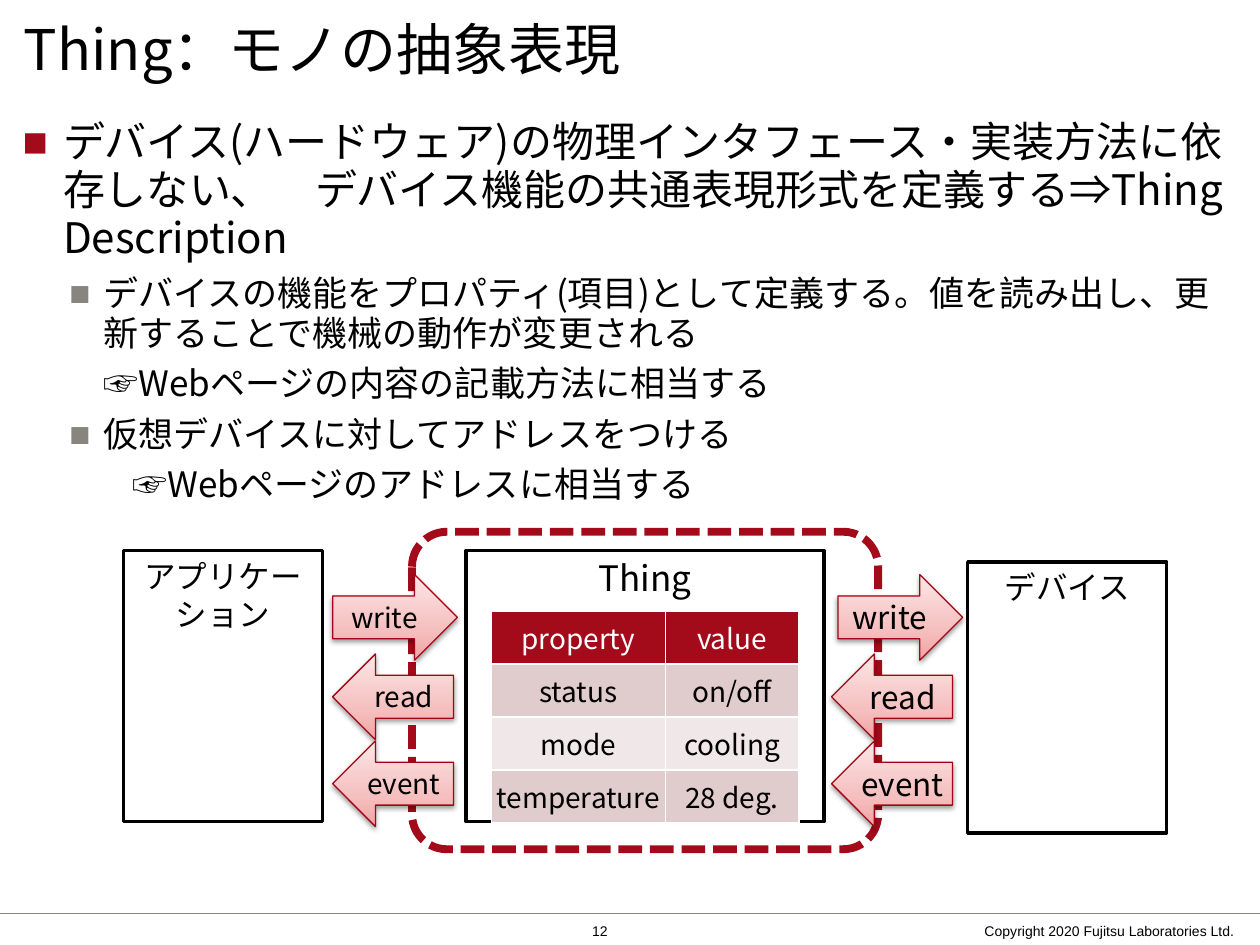
from pptx import Presentation
from pptx.dml.color import RGBColor
from pptx.enum.dml import MSO_LINE
from pptx.enum.shapes import MSO_CONNECTOR, MSO_SHAPE
from pptx.enum.text import MSO_ANCHOR, MSO_AUTO_SIZE, PP_ALIGN
from pptx.oxml import parse_xml
from pptx.oxml.ns import nsdecls
from pptx.util import Inches, Pt

COLORS = {
    "black": "000000", "white": "FFFFFF", "red": "A30B1A", "edge": "A30716",
    "gray": "87867E", "band": "E0CCCD", "light_band": "F0E7E8",
    "arrow_dark": "F2A2A3", "arrow_mid": "F5BFBF", "arrow_light": "FCE6E6",
}
RGB = {name: RGBColor.from_string(value) for name, value in COLORS.items()}
CJK = "Noto Sans CJK JP"


def add_text(paragraph, text, size, color="black", font=CJK, align=PP_ALIGN.CENTER):
    paragraph.alignment = align
    run = paragraph.add_run()
    run.text = text
    run.font.size = Pt(size)
    run.font.name = font
    run.font.bold = False
    run.font.color.rgb = RGB[color]
    run.font._element.find(".//{*}latin").addnext(
        parse_xml(f'<a:ea {nsdecls("a")} typeface="{font}"/>'))


def set_frame(frame, anchor, wrap=True, margin=0):
    frame.auto_size = MSO_AUTO_SIZE.NONE
    frame.word_wrap = wrap
    frame.vertical_anchor = anchor
    frame.margin_left = frame.margin_right = Inches(margin)
    frame.margin_top = frame.margin_bottom = Inches(margin / 2)


prs = Presentation()
prs.slide_width, prs.slide_height = Inches(10), Inches(7.5)
slide = prs.slides.add_slide(prs.slide_layouts[5])
shapes = slide.shapes

title = shapes.title
title.left, title.top = Inches(0.19), Inches(0)
title.width, title.height = Inches(8.59), Inches(0.76)
set_frame(title.text_frame, MSO_ANCHOR.MIDDLE)
add_text(title.text_frame.paragraphs[0], "Thing：モノの抽象表現", 32, align=PP_ALIGN.LEFT)

footer_rule = shapes.add_connector(
    MSO_CONNECTOR.STRAIGHT, Inches(0), Inches(7.25), Inches(10), Inches(7.25))
footer_rule.line.color.rgb = RGB["gray"]
footer_rule.line.width = Pt(1)
footer_rule._element.spPr.append(parse_xml(f'<a:effectLst {nsdecls("a")}/>'))

points = [
    ("デバイス(ハードウェア)の物理インタフェース・実装方法に依存しない、　"
     "デバイス機能の共通表現形式を定義する⇒Thing Description", 24, 0, 0.32, -0.32, "red"),
    ("デバイスの機能をプロパティ(項目)として定義する。値を読み出し、"
     "更新することで機械の動作が変更される", 20, 1, 0.64, -0.27, "gray"),
    ("☞Webページの内容の記載方法に相当する", 20, 1, 0.64, 0, None),
    ("仮想デバイスに対してアドレスをつける", 20, 1, 0.64, -0.27, "gray"),
    ("☞Webページのアドレスに相当する", 20, 1, 0.87, 0, None),
]
body = shapes.add_textbox(Inches(0.18), Inches(0.95), Inches(9.61), Inches(2.37)).text_frame
set_frame(body, MSO_ANCHOR.TOP)
for index, (text, size, level, margin, indent, bullet) in enumerate(points):
    paragraph = body.add_paragraph() if index else body.paragraphs[0]
    paragraph.level = level
    paragraph.line_spacing = 0.95
    paragraph.space_before = Pt(size * 0.2 if index else 0)
    paragraph.space_after = Pt(size * 0.1)
    props = paragraph._p.get_or_add_pPr()
    props.set("marL", str(Inches(margin)))
    props.set("indent", str(Inches(indent)))
    if bullet:
        for xml in (f'<a:buClr {nsdecls("a")}><a:srgbClr val="{COLORS[bullet]}"/></a:buClr>',
                    f'<a:buFont {nsdecls("a")} typeface="Arial"/>',
                    f'<a:buChar {nsdecls("a")} char="■"/>'):
            props.append(parse_xml(xml))
    add_text(paragraph, text, size, align=PP_ALIGN.LEFT)

boundary = shapes.add_shape(
    MSO_SHAPE.ROUNDED_RECTANGLE, Inches(3.27), Inches(4.22), Inches(3.7), Inches(2.52))
boundary.adjustments[0] = 0.11
boundary.shadow.inherit = False
boundary.fill.background()
boundary.line.color.rgb = RGB["red"]
boundary.line.width = Pt(4.5)
boundary.line.dash_style = MSO_LINE.SQUARE_DOT
boundary.line._ln.find("{*}prstDash").set("val", "sysDash")

boxes = [
    (3.7, 4.37, 2.84, ["Thing"], 20),
    (0.98, 4.37, 1.58, ["アプリケー", "ション"], 18),
    (7.68, 4.46, 1.58, ["デバイス"], 18),
]
for left, top, width, lines, size in boxes:
    box = shapes.add_shape(
        MSO_SHAPE.RECTANGLE, Inches(left), Inches(top), Inches(width), Inches(2.15))
    box.shadow.inherit = False
    box.fill.solid()
    box.fill.fore_color.rgb = RGB["white"]
    box.line.color.rgb = RGB["black"]
    box.line.width = Pt(2)
    set_frame(box.text_frame, MSO_ANCHOR.TOP, wrap=False, margin=0.1)
    for index, text in enumerate(lines):
        paragraph = box.text_frame.add_paragraph() if index else box.text_frame.paragraphs[0]
        add_text(paragraph, text, size)

gradient = "".join(
    f'<a:gs pos="{pos}"><a:srgbClr val="{COLORS[name]}"/></a:gs>'
    for pos, name in ((0, "arrow_dark"), (35000, "arrow_mid"), (100000, "arrow_light")))
operations = [
    ("write", MSO_SHAPE.RIGHT_ARROW, 4.56, 0.99),
    ("read", MSO_SHAPE.LEFT_ARROW, 5.19, 0.96),
    ("event", MSO_SHAPE.LEFT_ARROW, 5.88, 0.96),
]
for write_left, reply_left, size in ((2.64, 2.64, 16), (6.65, 6.6, 18)):
    for operation, direction, top, width in operations:
        left = write_left if operation == "write" else reply_left
        arrow = shapes.add_shape(
            direction, Inches(left), Inches(top), Inches(width), Inches(0.68))
        arrow.line.color.rgb = RGB["edge"]
        arrow.line.width = Pt(0.75)
        arrow._element.spPr.find("{*}prstGeom").addnext(parse_xml(
            f'<a:gradFill {nsdecls("a")} rotWithShape="1"><a:gsLst>{gradient}</a:gsLst>'
            '<a:lin ang="16200000" scaled="1"/></a:gradFill>'))
        arrow._element.spPr.append(parse_xml(
            f'<a:effectLst {nsdecls("a")}><a:outerShdw blurRad="{Pt(3.1)}" dist="{Pt(1.6)}" '
            f'dir="5400000" rotWithShape="0"><a:srgbClr val="{COLORS["black"]}">'
            '<a:alpha val="38000"/></a:srgbClr></a:outerShdw></a:effectLst>'))
        set_frame(arrow.text_frame, MSO_ANCHOR.MIDDLE, wrap=False, margin=0.1)
        add_text(arrow.text_frame.paragraphs[0], operation, size)

properties = [("property", "value"), ("status", "on/off"),
              ("mode", "cooling"), ("temperature", "28 deg.")]
row_fills = ["red", "band", "light_band", "band"]
table = shapes.add_table(
    4, 2, Inches(3.9), Inches(4.85), Inches(2.44), Inches(1.68)).table
table.first_row = table.horz_banding = False
table.columns[0].width, table.columns[1].width = Inches(1.38), Inches(1.06)
for row, texts in enumerate(properties):
    table.rows[row].height = Inches(0.42)
    for column, text in enumerate(texts):
        cell = table.cell(row, column)
        cell.margin_left = cell.margin_right = Inches(0)
        cell.margin_top = cell.margin_bottom = Inches(0.05)
        for side in "LRTB":
            cell._tc.get_or_add_tcPr().append(parse_xml(
                f'<a:ln{side} {nsdecls("a")} w="{Pt(1)}"><a:solidFill>'
                f'<a:srgbClr val="{COLORS["white"]}"/></a:solidFill></a:ln{side}>'))
        cell.fill.solid()
        cell.fill.fore_color.rgb = RGB[row_fills[row]]
        add_text(cell.text_frame.paragraphs[0], text, 16, "black" if row else "white")

footers = [
    ("12", 4.7, 0.59, PP_ALIGN.LEFT),
    ("Copyright 2020 Fujitsu Laboratories Ltd.", 5.4, 4.4, PP_ALIGN.RIGHT),
]
for text, left, width, align in footers:
    footer = shapes.add_textbox(Inches(left), Inches(7.28), Inches(width), Inches(0.22))
    set_frame(footer.text_frame, MSO_ANCHOR.MIDDLE)
    add_text(footer.text_frame.paragraphs[0], text, 8, font="Arial", align=align)

prs.save("out.pptx")
